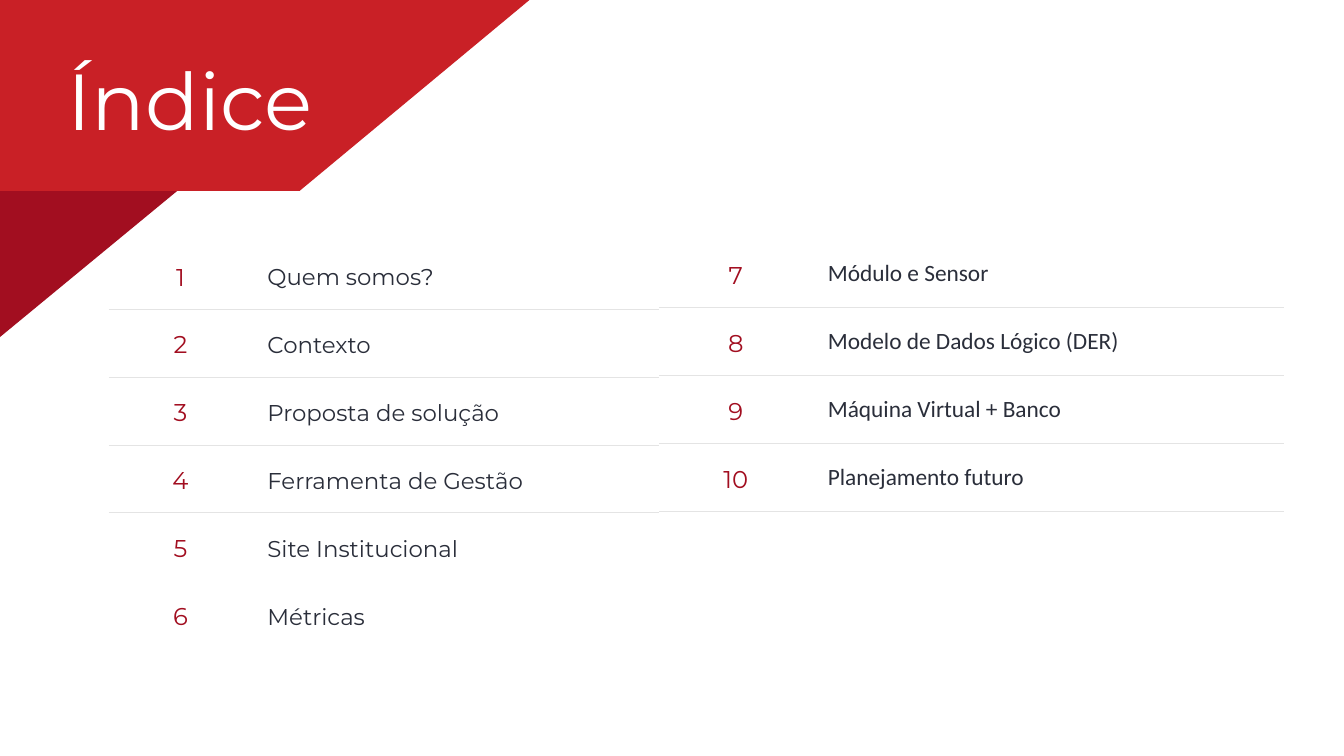
from lxml import etree
from pptx import Presentation
from pptx.dml.color import RGBColor
from pptx.enum.text import MSO_ANCHOR, MSO_AUTO_SIZE, PP_ALIGN
from pptx.oxml.ns import qn
from pptx.util import Inches, Pt

LEFT, CENTER = PP_ALIGN.LEFT, PP_ALIGN.CENTER
TOP, MIDDLE = MSO_ANCHOR.TOP, MSO_ANCHOR.MIDDLE
NO_AUTOFIT = MSO_AUTO_SIZE.NONE

RED, DARK_RED, INK, RULE, WHITE = "C92026", "A20E20", "2A2E3A", "E4E4E4", "FFFFFF"
ROW_HEIGHT = 1.01


def write(frame, text, font="Montserrat", size=26, color=INK, align=LEFT,
          anchor=MIDDLE, spacing=None, inset=0.0):
    frame.word_wrap = True
    frame.vertical_anchor = anchor
    frame.margin_left = frame.margin_right = Inches(inset)
    frame.margin_top = frame.margin_bottom = Inches(inset)
    para = frame.paragraphs[0]
    para.alignment = align
    if spacing:
        para.line_spacing = Pt(spacing)
    span = para.add_run()
    span.text = text
    span.font.name = font
    span.font.size = Pt(size)
    span.font.bold = False
    span.font.color.rgb = RGBColor.from_string(color)


def set_borders(cell, ruled_sides):
    properties = cell._tc.get_or_add_tcPr()
    for side in ("lnL", "lnR", "lnT", "lnB"):
        line = etree.SubElement(properties, qn(f"a:{side}"))
        if side in ruled_sides:
            line.set("w", str(Pt(0.75)))
            fill = etree.SubElement(line, qn("a:solidFill"))
            etree.SubElement(fill, qn("a:srgbClr"), val=RULE)
        else:
            line.set("w", "0")
            etree.SubElement(line, qn("a:noFill"))


deck = Presentation()
deck.slide_width, deck.slide_height = Inches(20), Inches(11.25)
slide = deck.slides.add_slide(deck.slide_layouts[5])

# Corner shapes, the dark triangle behind the red banner
corner_shapes = [
    (DARK_RED, [(-4.13, 2.6), (2.93, 2.6), (-0.6, 5.51)]),
    (RED, [(-4.49, 0), (7.88, 0), (4.46, 2.84), (-1.08, 2.84)]),
]
for color, points in corner_shapes:
    corners = [(Inches(x), Inches(y)) for x, y in points]
    builder = slide.shapes.build_freeform(*corners[0])
    builder.add_line_segments(corners[1:], close=True)
    shape = builder.convert_to_shape()
    shape.shadow.inherit = False
    shape.fill.solid()
    shape.fill.fore_color.rgb = RGBColor.from_string(color)
    shape.line.fill.background()

# Index tables: position, column widths, first number, ruled rows, label format, labels
indexes = [
    (1.62, 3.59, (2.13, 6.05), 1, 4, dict(size=24.5, spacing=35),
     ["Quem somos?", "Contexto", "Proposta de solução", "Ferramenta de Gestão",
      "Site Institucional", "Métricas"]),
    (9.81, 3.57, (2.28, 7.02), 7, 4, dict(size=25, font="Calibri"),
     ["Módulo e Sensor", "Modelo de Dados Lógico (DER)",
      "Máquina Virtual + Banco", "Planejamento futuro"]),
]
for left, top, widths, first, ruled_rows, label_format, labels in indexes:
    table = slide.shapes.add_table(
        len(labels), 2, Inches(left), Inches(top),
        Inches(sum(widths)), Inches(ROW_HEIGHT * len(labels))).table
    table.first_row = table.horz_banding = False
    for column, width in zip(table.columns, widths):
        column.width = Inches(width)
    for index, label in enumerate(labels):
        table.rows[index].height = Inches(ROW_HEIGHT)
        number_cell, label_cell = table.cell(index, 0), table.cell(index, 1)
        ruled_sides = set()
        if 0 < index <= ruled_rows:
            ruled_sides.add("lnT")
        if index < ruled_rows:
            ruled_sides.add("lnB")
        for cell in (number_cell, label_cell):
            cell.vertical_anchor = MIDDLE
            cell.margin_left = cell.margin_right = Inches(0.23)
            cell.margin_top = cell.margin_bottom = Inches(0.23)
            set_borders(cell, ruled_sides)
            cell.fill.background()
        write(number_cell.text_frame, str(first + index), color=DARK_RED,
              align=CENTER, spacing=36.4, inset=0.23)
        write(label_cell.text_frame, label, inset=0.23, **label_format)

# Title, brought in front of the banner
title = slide.shapes.title
title.left, title.top = Inches(0.65), Inches(0.76)
title.width, title.height = Inches(4.35), Inches(1.3)
title.text_frame.auto_size = NO_AUTOFIT
write(title.text_frame, "Índice", size=85, color=WHITE, align=CENTER,
      anchor=TOP, spacing=102)
title.element.getparent().append(title.element)

deck.save("out.pptx")
